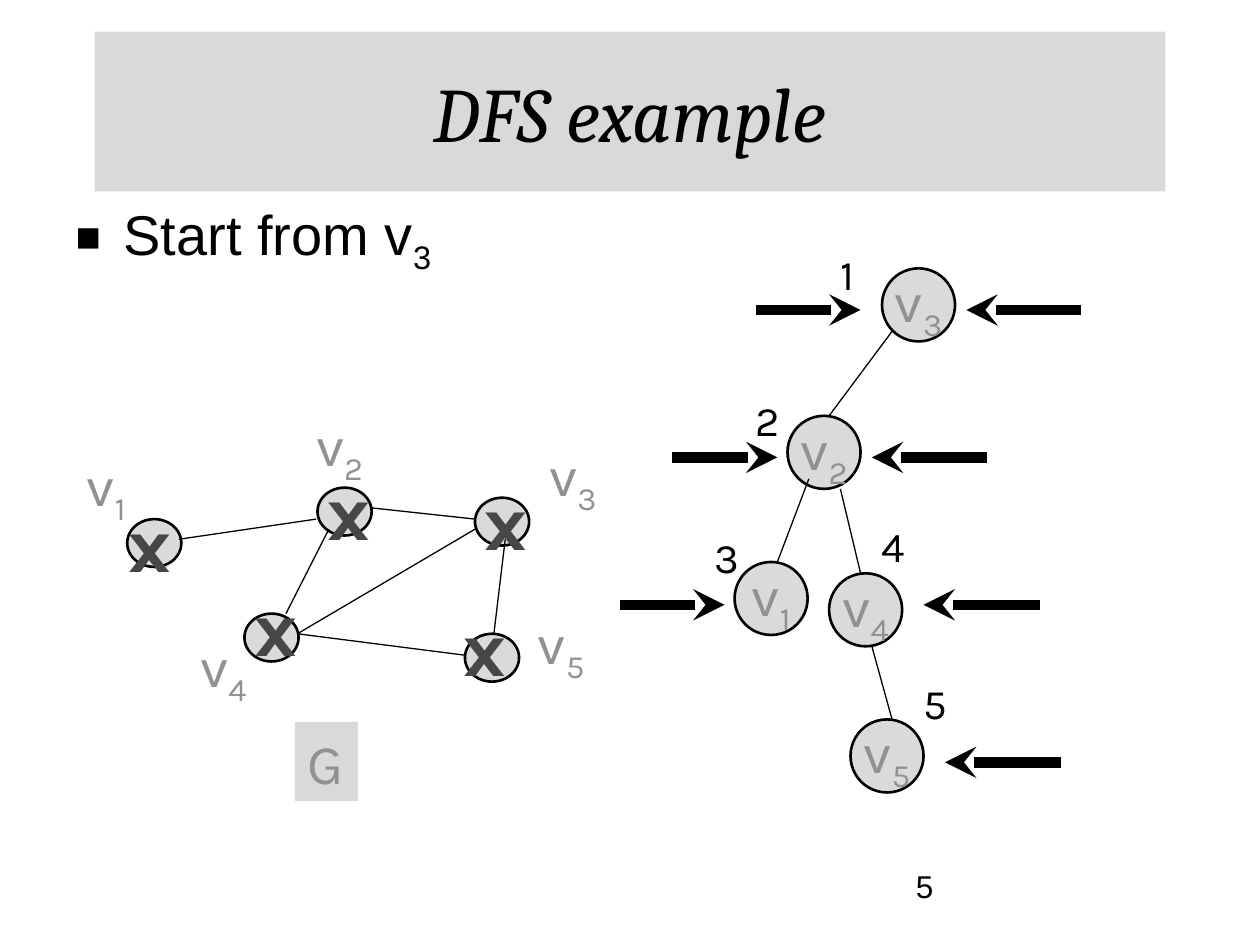
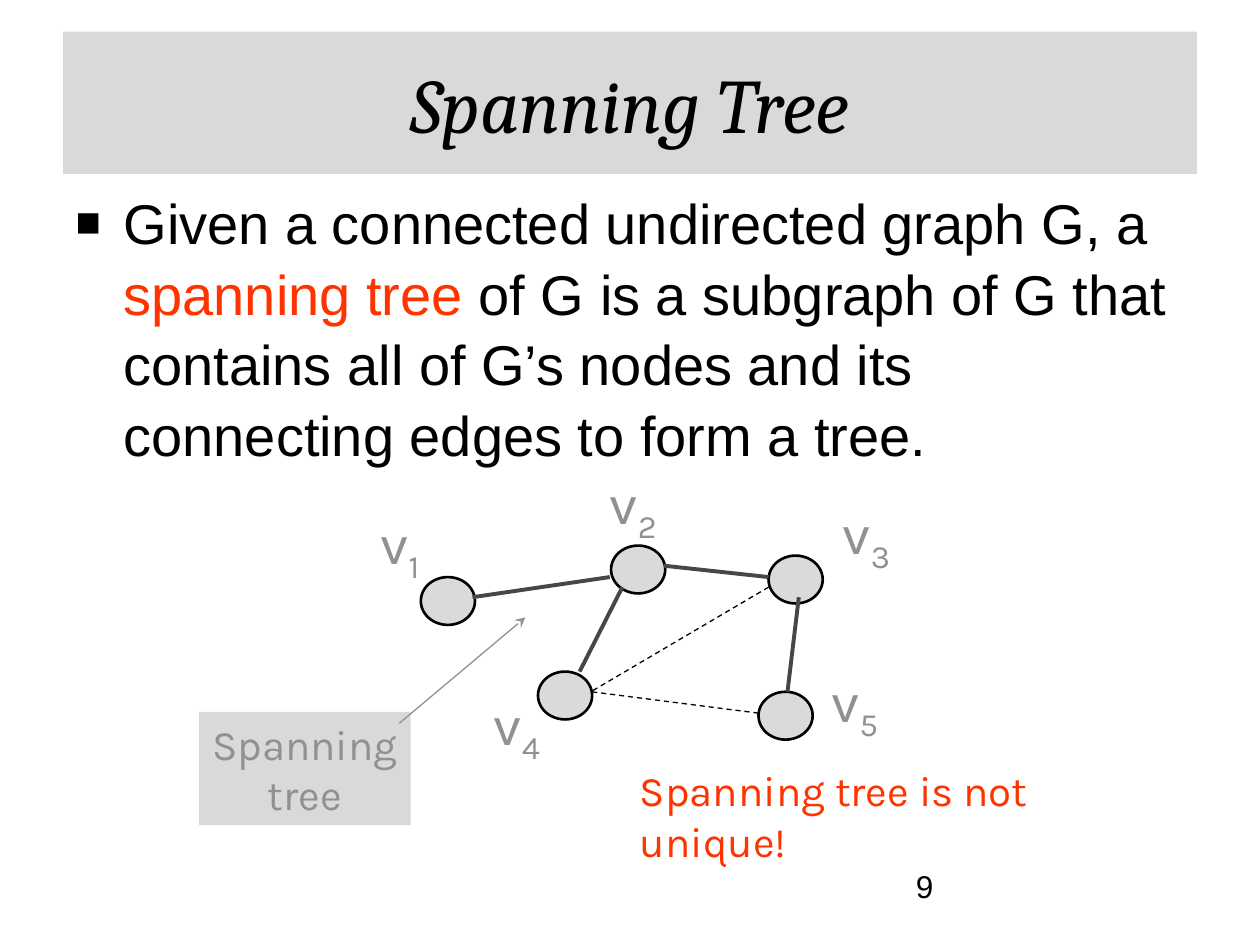
"""Build two slides on depth-first search and spanning trees."""
from lxml.etree import SubElement
from pptx import Presentation
from pptx.dml.color import RGBColor as RGB
from pptx.enum.dml import MSO_LINE as DASH
from pptx.enum.shapes import MSO_CONNECTOR as CONN, MSO_SHAPE as SHAPE
from pptx.enum.text import MSO_ANCHOR as ANCHOR, MSO_AUTO_SIZE as FIT, PP_ALIGN as ALIGN
from pptx.oxml.ns import qn
from pptx.util import Pt

PX = 9144
COLORS = {"ink": "000000", "band": "D9D9D9", "node": "DADADA",
          "label": "919191", "mark": "474747", "accent": "FF3300"}
TITLE_FONT, BODY_FONT, LABEL_FONT = "Cambria", "Arial", "Karla"

GRAPH_NODES = {1: (101, 412), 2: (252, 387), 3: (377, 395), 4: (194, 487), 5: (369, 503)}
GRAPH_LABELS = {1: (59, 353), 2: (241, 321), 3: (426, 345), 4: (149, 496), 5: (417, 478)}
SPANNING_EDGES = [(377, 412, 294, 403), (261, 420, 227, 487),
                  (142, 428, 251, 412), (392, 503, 401, 428)]
OTHER_EDGES = [(369, 520, 236, 503), (377, 420, 236, 503)]
CROSSES = [(375, 371), (250, 363), (92, 388), (192, 455), (358, 471)]

TREE_NODES = {3: (700, 213), 2: (625, 330), 1: (583, 446), 4: (658, 455), 5: (675, 571)}
TREE_EDGES = [(658, 330, 708, 263), (617, 446, 642, 380),
              (667, 388, 683, 455), (708, 571, 692, 513)]
VISIT_ORDER = [(657, 192), (590, 308), (557, 417), (690, 408), (723, 533)]
STEP_ARROWS = [(600, 683, 246), (492, 575, 480), (533, 617, 363), (842, 750, 605),
               (825, 733, 480), (783, 692, 363), (858, 767, 246)]


class Deck:
    def __init__(self):
        self.prs = Presentation()
        self.prs.slide_width, self.prs.slide_height = 1000 * PX, 750 * PX
        self.slide = None

    def rgb(self, color):
        return RGB.from_string(COLORS[color])

    def place(self, sp, x, y, w, h):
        sp.left, sp.top, sp.width, sp.height = (n * PX for n in (x, y, w, h))

    def fill(self, sp, color):
        sp.fill.solid()
        sp.fill.fore_color.rgb = self.rgb(color)

    def style(self, r, size, font, color, bold=None, italic=None):
        f = r.font
        f.size, f.name, f.bold, f.italic = Pt(size), font, bold, italic
        f.color.rgb = self.rgb(color)

    def subscript(self, p, index):
        r = p.add_run()
        r.text = str(index)
        r._r.get_or_add_rPr().set("baseline", "-25000")

    def new_slide(self, title, title_box, number):
        self.slide = self.prs.slides.add_slide(self.prs.slide_layouts[1])
        self.text(number, (717, 683, 233, 52), 18, "ink", font=BODY_FONT)
        sp = self.slide.shapes.title
        self.place(sp, *title_box)
        self.fill(sp, "band")
        tf = sp.text_frame
        tf.text = title
        tf.auto_size, tf.vertical_anchor = FIT.NONE, ANCHOR.MIDDLE
        p = tf.paragraphs[0]
        p.alignment = ALIGN.CENTER
        self.style(p.runs[0], 44, TITLE_FONT, "ink", italic=True)

    def bullet(self, box, parts, index=None):
        sp = self.slide.placeholders[1]
        self.place(sp, *box)
        tf = sp.text_frame
        tf.auto_size = FIT.NONE
        p = tf.paragraphs[0]
        p.space_before, p.line_spacing = Pt(0), 1.05
        pPr = p._p.get_or_add_pPr()
        pPr.set("marL", str(38 * PX))
        pPr.set("indent", str(-38 * PX))
        SubElement(SubElement(pPr, qn("a:buClr")), qn("a:srgbClr"), val=COLORS["ink"])
        SubElement(pPr, qn("a:buSzPct"), val="75000")
        SubElement(pPr, qn("a:buFont"), typeface=BODY_FONT)
        SubElement(pPr, qn("a:buChar"), char="■")
        for text, color in parts:
            r = p.add_run()
            r.text = text
            self.style(r, 32, BODY_FONT, color)
        if index:
            self.subscript(p, index)
            self.style(p.runs[-1], 32, BODY_FONT, "ink")

    def text(self, text, box, size, color, font=LABEL_FONT, index=None,
             bold=None, wrap=False, align=ALIGN.LEFT, fill=None):
        sp = self.slide.shapes.add_textbox(*(n * PX for n in box))
        if fill:
            self.fill(sp, fill)
        tf = sp.text_frame
        tf.text = text
        tf.word_wrap, tf.auto_size = wrap, FIT.SHAPE_TO_FIT_TEXT
        p = tf.paragraphs[0]
        p.alignment = align
        if index:
            self.subscript(p, index)
        for r in p.runs:
            self.style(r, size, font, color, bold)

    def node(self, x, y, w, h, index=None):
        sp = self.slide.shapes.add_shape(SHAPE.OVAL, x * PX, y * PX, w * PX, h * PX)
        sp.shadow.inherit = False
        self.fill(sp, "node")
        sp.line.color.rgb, sp.line.width = self.rgb("ink"), Pt(1.5)
        if index:
            tf = sp.text_frame
            tf.text = "v"
            tf.word_wrap, tf.vertical_anchor = False, ANCHOR.MIDDLE
            p = tf.paragraphs[0]
            p.alignment = ALIGN.CENTER
            self.subscript(p, index)
            for r in p.runs:
                self.style(r, 32, LABEL_FONT, "label")

    def line(self, x1, y1, x2, y2, color="ink", width=0.75, dash=None, arrow=False):
        c = self.slide.shapes.add_connector(
            CONN.STRAIGHT, x1 * PX, y1 * PX, x2 * PX, y2 * PX)
        c.line.color.rgb, c.line.width = self.rgb(color), Pt(width)
        if dash:
            c.line.dash_style = dash
        if arrow:
            SubElement(c.line._get_or_add_ln(), qn("a:tailEnd"), type="stealth")
        SubElement(c._element.spPr, qn("a:effectLst"))

    def graph(self, dx=0, dy=0, spanning=None, other=None):
        for x, y in GRAPH_NODES.values():
            self.node(x + dx, y + dy, 43, 38)
        for edges, look in ((SPANNING_EDGES, spanning), (OTHER_EDGES, other)):
            for x1, y1, x2, y2 in edges:
                self.line(x1 + dx, y1 + dy, x2 + dx, y2 + dy, **(look or {}))
        for i, (x, y) in GRAPH_LABELS.items():
            self.text("v", (x + dx, y + dy, 58, 63), 32, "label", index=i)


def dfs_slide(deck):
    deck.new_slide("DFS example", (75, 25, 850, 127), "5")
    deck.bullet((50, 150, 900, 96), [("Start from v", "ink")], index=3)
    deck.graph()
    deck.text("G", (234, 573, 50, 63), 32, "label", fill="band")
    for i, (x, y) in TREE_NODES.items():
        deck.node(x, y, 58, 58, index=i)
    for edge in TREE_EDGES:
        deck.line(*edge)
    for step, (x, y) in enumerate(VISIT_ORDER, 1):
        deck.text(str(step), (x, y, 38, 50), 24, "ink")
    for x, y in CROSSES:
        deck.text("x", (x, y, 57, 83), 44, "mark", bold=True)
    for x1, x2, y in STEP_ARROWS:
        deck.line(x1, y, x2, y, width=6, arrow=True)


def spanning_tree_slide(deck):
    deck.new_slide("Spanning Tree", (50, 25, 900, 113), "9")
    deck.bullet((50, 142, 900, 528), [
        ("Given a connected undirected graph G, a ", "ink"),
        ("spanning tree", "accent"),
        (" of G is a subgraph of G that contains all of G’s nodes "
         "and its connecting edges to form a tree.", "ink")])
    deck.graph(233, 46, spanning={"color": "mark", "width": 2.25},
               other={"dash": DASH.DASH})
    deck.text("Spanning tree", (158, 565, 168, 90), 24, "label",
              wrap=True, align=ALIGN.CENTER, fill="band")
    deck.line(317, 574, 417, 490, color="label", arrow=True)
    deck.text("Spanning tree is not unique!", (498, 602, 437, 50), 24, "accent", wrap=True)


def main():
    deck = Deck()
    dfs_slide(deck)
    spanning_tree_slide(deck)
    deck.prs.save("out.pptx")


if __name__ == "__main__":
    main()
